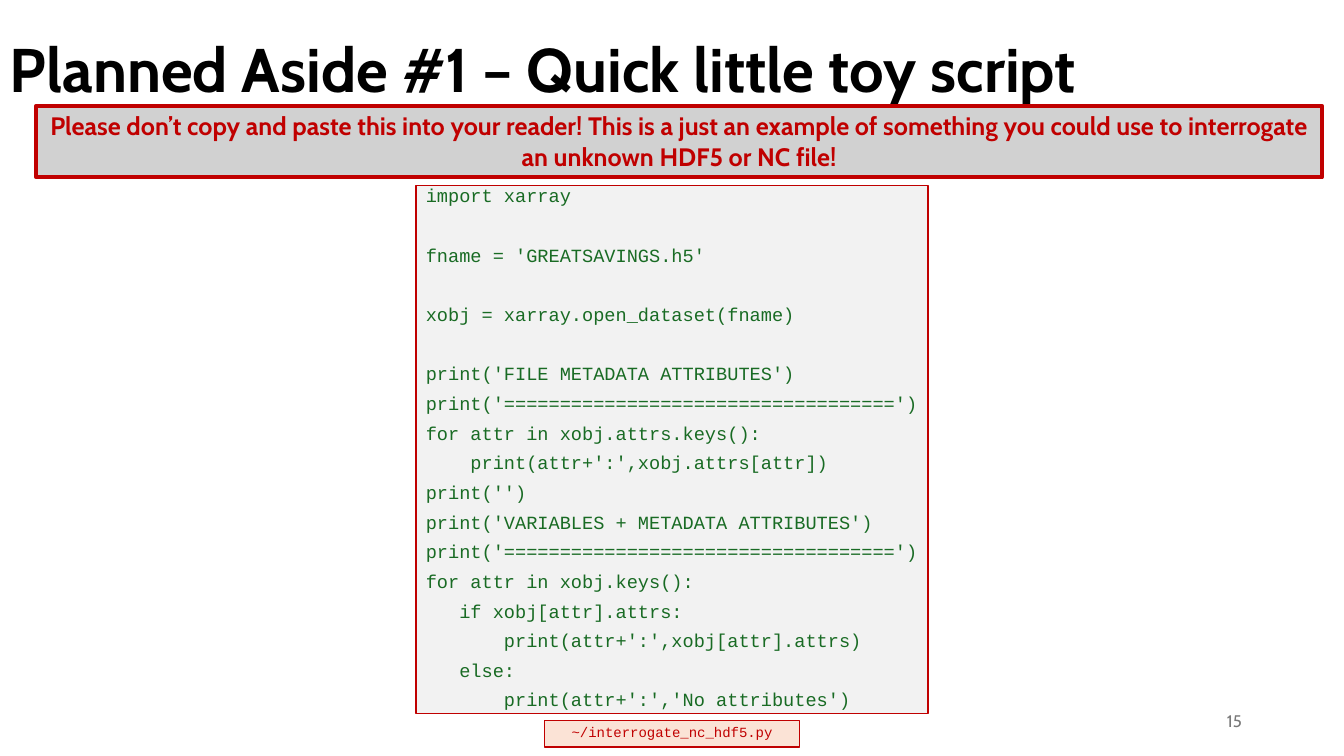
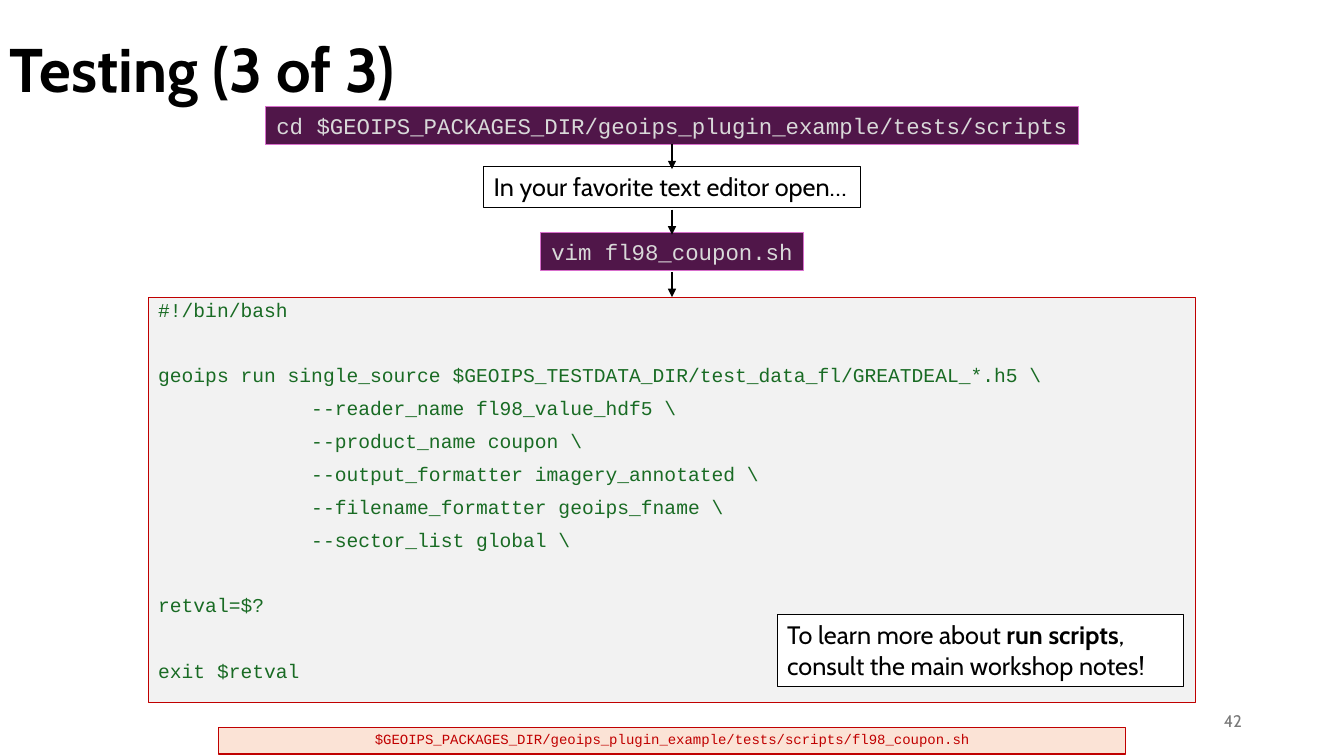
from dataclasses import dataclass

from lxml import etree
from pptx import Presentation
from pptx.dml.color import RGBColor
from pptx.enum.shapes import MSO_CONNECTOR
from pptx.enum.text import MSO_ANCHOR, PP_ALIGN
from pptx.oxml.ns import qn
from pptx.util import Inches, Pt

LEFT, CENTER, RIGHT = PP_ALIGN.LEFT, PP_ALIGN.CENTER, PP_ALIGN.RIGHT
TOP, MIDDLE = MSO_ANCHOR.TOP, MSO_ANCHOR.MIDDLE
STRAIGHT = MSO_CONNECTOR.STRAIGHT


@dataclass(frozen=True)
class Theme:
    sans: str = "Cabin"
    mono: str = "Courier New"
    black: str = "000000"
    white: str = "FFFFFF"
    gray: str = "797979"
    silver: str = "D1D1D1"
    paper: str = "F2F2F2"
    green: str = "196B24"
    red: str = "C00000"
    peach: str = "FBE3D6"
    plum: str = "501649"
    pink: str = "D86ECC"
    pale: str = "D9D9D9"
    title: float = 44
    body: float = 18
    shell: float = 16
    code: float = 14
    small_code: float = 13.3
    number: float = 12
    path_size: float = 10


T = Theme()

# Each style: font, text colour, fill, line, and paragraph format
STYLES = {
    "title": dict(font=dict(name=T.sans, size=Pt(T.title), bold=True), color=T.black,
                  anchor=MIDDLE, para=dict(line_spacing=0.9)),
    "number": dict(font=dict(name=T.sans, size=Pt(T.number)), color=T.gray,
                   anchor=MIDDLE, para=dict(alignment=RIGHT)),
    "warning": dict(font=dict(name=T.sans, size=Pt(T.body), bold=True), color=T.red,
                    fill=T.silver, line=(T.red, 3), para=dict(alignment=CENTER)),
    "note": dict(font=dict(name=T.sans, size=Pt(T.body)), color=T.black,
                 fill=T.white, line=(T.black, 0.75), para=dict(alignment=LEFT)),
    "shell": dict(font=dict(name=T.mono, size=Pt(T.shell)), color=T.pale, wrap=False,
                  fill=T.plum, line=(T.pink, 0.75), para=dict(alignment=CENTER)),
    "path": dict(font=dict(name=T.mono, size=Pt(T.path_size)), color=T.red,
                 fill=T.peach, line=(T.red, 1),
                 para=dict(alignment=CENTER, line_spacing=0.9)),
    "code": dict(font=dict(name=T.mono, size=Pt(T.code)), color=T.green,
                 fill=T.paper, line=(T.red, 1), gap=10, pitch=23.4,
                 para=dict(line_spacing=0.8)),
    "small_code": dict(font=dict(name=T.mono, size=Pt(T.small_code)), color=T.green,
                       fill=T.paper, line=(T.red, 1), gap=10, pitch=21.2,
                       para=dict(line_spacing=0.7)),
}

SCRIPT_PY = """import xarray

fname = 'GREATSAVINGS.h5'

xobj = xarray.open_dataset(fname)

print('FILE METADATA ATTRIBUTES')
print('===================================')
for attr in xobj.attrs.keys():
    print(attr+':',xobj.attrs[attr])
print('')
print('VARIABLES + METADATA ATTRIBUTES')
print('===================================')
for attr in xobj.keys():
   if xobj[attr].attrs:
       print(attr+':',xobj[attr].attrs)
   else:
       print(attr+':','No attributes')"""

SCRIPT_SH = r"""#!/bin/bash

geoips run single_source $GEOIPS_TESTDATA_DIR/test_data_fl/GREATDEAL_*.h5 \
             --reader_name fl98_value_hdf5 \
             --product_name coupon \
             --output_formatter imagery_annotated \
             --filename_formatter geoips_fname \
             --sector_list global \

retval=$?

exit $retval"""

# Boxes: style, left (None = centred), top, width, height in % of the slide, text
SLIDES = [
    dict(title="Planned Aside #1 – Quick little toy script", number="15", arrows=[], boxes=[
        ("small_code", None, 24.53, 38.12, 69.87, SCRIPT_PY),
        ("path", None, 95.33, 19, 3.47, "~/interrogate_nc_hdf5.py"),
        ("warning", 2.7, 14, 95.65, 9.47,
         "Please don’t copy and paste this into your reader! This is a just an example "
         "of something you could use to interrogate an unknown HDF5 or NC file!"),
    ]),
    dict(title="Testing (3 of 3)", number="42", arrows=[19.07, 27.73, 36], boxes=[
        ("shell", None, 14.13, 60.47, 4.93,
         "cd $GEOIPS_PACKAGES_DIR/geoips_plugin_example/tests/scripts"),
        ("note", None, 22, 28, 5.4, "In your favorite text editor open…"),
        ("shell", None, 30.8, 19.58, 4.93, "vim fl98_coupon.sh"),
        ("code", None, 39.33, 77.93, 53.6, SCRIPT_SH),
        ("path", None, 96.27, 67.5, 3.47,
         "$GEOIPS_PACKAGES_DIR/geoips_plugin_example/tests/scripts/fl98_coupon.sh"),
        ("note", 57.83, 81.33, 30.23, 9.47,
         "To learn more about **run scripts**, consult the main workshop notes!"),
    ]),
]
ARROW_LENGTH = 3.3

prs = Presentation()
prs.slide_width, prs.slide_height = Inches(13.33), Inches(7.5)
COL, ROW = prs.slide_width / 100, prs.slide_height / 100


def add_box(s, style, left, top, width, height, text):
    """Add a text box; blank lines become spacing and ** marks bold."""
    st = STYLES[style]
    if left is None:
        left = (100 - width) / 2
    sp = s.shapes.add_textbox(int(left * COL), int(top * ROW),
                              int(width * COL), int(height * ROW))
    if "fill" in st:
        sp.fill.solid()
        sp.fill.fore_color.rgb = RGBColor.from_string(st["fill"])
        color, weight = st["line"]
        sp.line.color.rgb = RGBColor.from_string(color)
        sp.line.width = Pt(weight)
    tf = sp.text_frame
    tf.word_wrap = st.get("wrap", True)
    tf.vertical_anchor = st.get("anchor", TOP)
    p, space = tf.paragraphs[0], 0
    for i, line in enumerate(text.split("\n")):
        if not line:
            space += st["pitch"]
            continue
        if i:
            p = tf.add_paragraph()
        for key, value in st["para"].items():
            setattr(p, key, value)
        p.space_before = Pt(space)
        space = st.get("gap", 0)
        for n, part in enumerate(line.split("**")):
            r = p.add_run()
            r.text = part
            for key, value in st["font"].items():
                setattr(r.font, key, value)
            r.font.color.rgb = RGBColor.from_string(st["color"])
            if n % 2:
                r.font.bold = True


def add_arrow(s, top):
    """Add a short downward arrow on the slide's centre line."""
    x = int(50 * COL)
    sp = s.shapes.add_connector(STRAIGHT, x, int(top * ROW),
                                x, int((top + ARROW_LENGTH) * ROW))
    sp.line.color.rgb = RGBColor.from_string(T.black)
    sp.line.width = Pt(1.5)
    etree.SubElement(sp.line._get_or_add_ln(), qn("a:tailEnd"), type="triangle")
    etree.SubElement(sp._element.spPr, qn("a:effectLst"))


for content in SLIDES:
    s = prs.slides.add_slide(prs.slide_layouts[6])
    # Title and slide number
    add_box(s, "title", 0, 0, 86.25, 19.33, content["title"])
    add_box(s, "number", 70.65, 92.67, 22.5, 5.33, content["number"])
    # Content and flow arrows
    for box in content["boxes"]:
        add_box(s, *box)
    for top in content["arrows"]:
        add_arrow(s, top)

prs.save("out.pptx")
